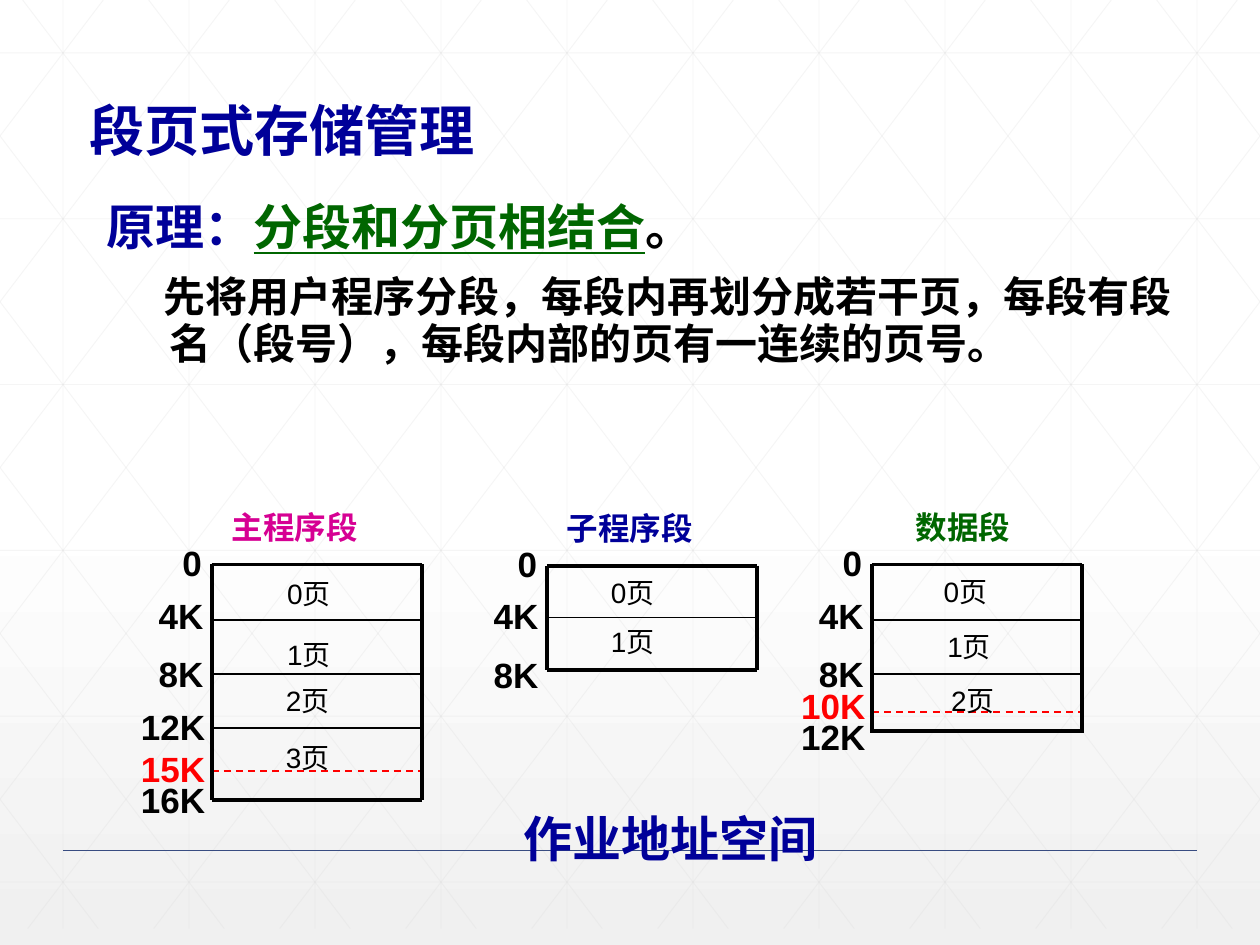
from dataclasses import dataclass

from lxml import etree
from pptx import Presentation
from pptx.dml.color import RGBColor
from pptx.enum import dml, shapes, text
from pptx.oxml import ns
from pptx.util import Inches, Pt

WIDTH, HEIGHT = 10, 7.5
GRID_BOTTOM = 7.37
CJK, LATIN = "Noto Sans CJK SC", "Arial"
COLORS = {
    "top": "FFFFFF", "bottom": "F0F0F0", "grid": "D9D9D9", "rule": "384C81",
    "black": "000000", "red": "FF0000", "blue": "000099",
    "green": "006600", "magenta": "D60093",
}
LABEL_OFFSETS = {1: 0.33, 2: 0.52, 3: 0.66}
LABEL_WIDTHS = {1: 0.5, 2: 0.62, 3: 0.8}


@dataclass
class Segment:
    title: str
    color: str
    title_at: tuple
    left: float
    top: float
    bottom: float
    side_bottom: float
    dividers: list
    limit: float | None  # height of the dashed line at the end of used space
    addresses: list      # (label, top, colour)
    pages: list          # (left, top) of each page label


SEGMENTS = [
    Segment("主程序段", "magenta", (1.74, 3.98), 1.68, 4.48, 6.35, 6.35,
            [4.92, 5.35, 5.78], 6.12,
            [("0", 4.25, "black"), ("4K", 4.67, "black"), ("8K", 5.13, "black"),
             ("12K", 5.55, "black"), ("15K", 5.88, "red"), ("16K", 6.13, "black")],
            [(2.18, 4.53), (2.18, 5.01), (2.17, 5.38), (2.17, 5.83)]),
    Segment("子程序段", "blue", (4.4, 3.99), 4.34, 4.49, 5.32, 5.32,
            [4.9], None,
            [("0", 4.26, "black"), ("4K", 4.67, "black"), ("8K", 5.14, "black")],
            [(4.75, 4.52), (4.75, 4.91)]),
    Segment("数据段", "green", (7.17, 3.98), 6.92, 4.48, 5.8, 5.82,
            [4.92, 5.35], 5.65,
            [("0", 4.25, "black"), ("4K", 4.67, "black"), ("8K", 5.13, "black"),
             ("12K", 5.63, "black"), ("10K", 5.38, "red")],
            [(7.39, 4.51), (7.42, 4.95), (7.45, 5.38)]),
]
SEGMENT_WIDTH = 1.67


def rgb(name):
    return RGBColor.from_string(COLORS[name])


def set_background(slide):
    fill = slide.background.fill
    fill.gradient()
    fill.gradient_angle = 270
    for stop, position, color in zip(fill.gradient_stops, (0.53, 1), ("top", "bottom")):
        stop.position = position
        stop.color.rgb = rgb(color)


def add_line(slide, start, end, color="black", width=1, dashed=False, opacity=None):
    line = slide.shapes.add_connector(
        shapes.MSO_CONNECTOR.STRAIGHT, *(Inches(value) for value in (*start, *end)))
    line.line.color.rgb = rgb(color)
    line.line.width = Pt(width)
    if dashed:
        line.line.dash_style = dml.MSO_LINE.DASH
    properties = line._element.spPr
    if opacity is not None:
        fill_color = properties.find(".//" + ns.qn("a:srgbClr"))
        etree.SubElement(fill_color, ns.qn("a:alpha"), val=str(opacity * 1000))
    etree.SubElement(properties, ns.qn("a:effectLst"))


def set_font(paragraph, size, color, bold=True, name=LATIN):
    font = paragraph.font
    font.size = Pt(size)
    font.bold = bold
    font.name = name
    font.color.rgb = rgb(color)
    etree.SubElement(font._element, ns.qn("a:ea"), typeface=CJK)


def add_frame(slide, left, top, width, height):
    box = slide.shapes.add_textbox(
        Inches(left), Inches(top), Inches(width), Inches(height))
    box.text_frame.word_wrap = True
    return box.text_frame


def add_label(slide, content, at, size, color, bold=True, name=LATIN):
    paragraph = add_frame(slide, *at).paragraphs[0]
    paragraph.text = content
    set_font(paragraph, size, color, bold, name)
    return paragraph


def add_grid(slide):
    """Draw faint upright, level and slanted lines, clipped to the slide."""
    def grid_line(start, end):
        add_line(slide, start, end, "grid", 0.5, opacity=25)

    for column in range(10):
        grid_line((column + 0.5, 0), (column + 0.5, GRID_BOTTOM))
    for row in range(6):
        height = 0.42 + 1.316 * row
        grid_line((0, height), (WIDTH, height))
    run = 5.6
    slope = GRID_BOTTOM / run
    for step in range(-5, 10):
        origin = step + 0.18
        x1, x2 = max(0, origin), min(WIDTH, origin + run)
        y1, y2 = (x1 - origin) * slope, (x2 - origin) * slope
        grid_line((x1, y1), (x2, y2))
        grid_line((WIDTH - x1, y1), (WIDTH - x2, y2))


def add_title(slide):
    paragraph = add_label(slide, "段页式存储管理", (0.61, 0.75, 9.33, 0.6),
                          31.5, "blue", name=CJK)
    paragraph.line_spacing = 0.9
    paragraph._parent.vertical_anchor = text.MSO_ANCHOR.BOTTOM


def add_body(slide):
    frame = add_frame(slide, 0.75, 1.55, 8.82, 2.84)
    principle, detail = frame.paragraphs[0], frame.add_paragraph()
    for content, color in (("原理：", "blue"), ("分段和分页相结合", "green"), ("。", "black")):
        run = principle.add_run()
        run.text = content
        run.font.color.rgb = rgb(color)
        run.font.underline = color == "green"
    detail.text = ("先将用户程序分段，每段内再划分成若干页，每段有段名（段号），"
                   "每段内部的页有一连续的页号。")
    properties = detail._p.get_or_add_pPr()
    properties.set("marL", str(Inches(0.5)))
    properties.set("indent", str(Inches(-0.05)))
    detail.space_before = Pt(10)
    for paragraph, size in ((principle, 28), (detail, 24)):
        paragraph.line_spacing = 0.94
        set_font(paragraph, size, "black", name=CJK)


def add_segment(slide, segment):
    left, right = segment.left, segment.left + SEGMENT_WIDTH
    for height in segment.dividers:
        add_line(slide, (left, height), (right, height))
    if segment.limit:
        add_line(slide, (left, segment.limit), (right, segment.limit), "red", dashed=True)
    for height in (segment.top, segment.bottom):
        add_line(slide, (left, height), (right, height), width=2.25)
    for side in (left, right):
        add_line(slide, (side, segment.top), (side, segment.side_bottom), width=2.25)
    add_label(slide, segment.title, (*segment.title_at, 1.58, 0.5), 18, segment.color)
    for label, top, color in segment.addresses:
        size = len(label)
        add_label(slide, label, (left - LABEL_OFFSETS[size], top, LABEL_WIDTHS[size], 0.43),
                  20, color)
    for number, position in enumerate(segment.pages):
        add_label(slide, f"{number}页", (*position, 0.72, 0.37), 16, "black", bold=False)


def main():
    presentation = Presentation()
    presentation.slide_width, presentation.slide_height = Inches(WIDTH), Inches(HEIGHT)
    slide = presentation.slides.add_slide(presentation.slide_layouts[6])
    set_background(slide)
    add_grid(slide)
    add_line(slide, (0.5, 6.75), (9.5, 6.75), "rule")
    add_title(slide)
    add_body(slide)
    for segment in SEGMENTS:
        add_segment(slide, segment)
    add_label(slide, "作业地址空间", (4.06, 6.37, 3.01, 0.57), 28, "blue", name=CJK)
    presentation.save("out.pptx")


if __name__ == "__main__":
    main()
